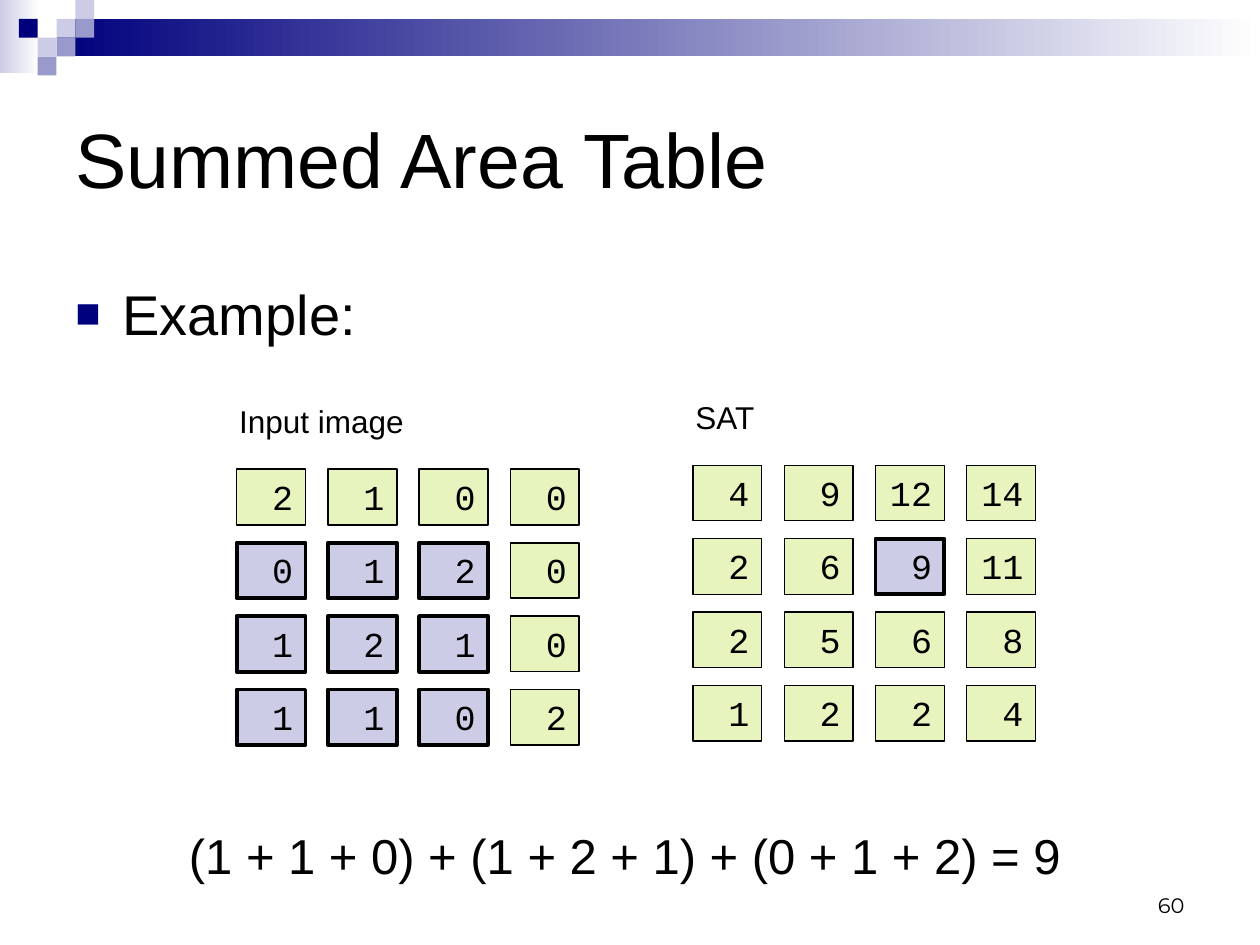
from dataclasses import dataclass
from lxml import etree
from pptx import Presentation
from pptx.dml.color import RGBColor
from pptx.enum.shapes import MSO_SHAPE
from pptx.enum.text import MSO_ANCHOR, PP_ALIGN
from pptx.oxml.ns import qn
from pptx.util import Cm, Pt

RECT = MSO_SHAPE.RECTANGLE
TOP, MIDDLE, BOTTOM = MSO_ANCHOR.TOP, MSO_ANCHOR.MIDDLE, MSO_ANCHOR.BOTTOM
LEFT, RIGHT = PP_ALIGN.LEFT, PP_ALIGN.RIGHT


@dataclass(frozen=True)
class Theme:
    ink: str = "000000"
    navy: str = "00007D"
    mid: str = "9999CC"
    pale: str = "CCCCE6"
    lime: str = "E7F4BE"
    white: str = "FFFFFF"
    sans: str = "Arial"
    mono: str = "Courier New"
    page: str = "Montserrat"
    title: int = 44
    body: int = 32
    sum: int = 28
    cell: int = 20
    label: int = 18
    small: int = 12


THEME = Theme()
STEP = 0.38
SQUARES = [
    (3, 1, THEME.pale), (4, 0, THEME.pale), (4, 1, THEME.mid),
    (2, 2, THEME.pale), (1, 1, THEME.navy), (3, 2, THEME.mid),
    (2, 3, THEME.mid),
]
INPUT = [[2, 1, 0, 0], [0, 1, 2, 0], [1, 2, 1, 0], [1, 1, 0, 2]]
SAT = [[4, 9, 12, 14], [2, 6, 9, 11], [2, 5, 6, 8], [1, 2, 2, 4]]
SUMMED = {(row, col) for row in (1, 2, 3) for col in (0, 1, 2)}


def color(code):
    return RGBColor.from_string(code)


def write(frame, text, size, font=THEME.sans, align=LEFT, anchor=TOP):
    frame.word_wrap = True
    frame.vertical_anchor = anchor
    para = frame.paragraphs[0]
    para.alignment = align
    run = para.add_run()
    run.text = text
    run.font.size = Pt(size)
    run.font.name = font
    run.font.color.rgb = color(THEME.ink)
    return para


def add_text(slide, box, text, size, **style):
    shape = slide.shapes.add_textbox(*map(Cm, box))
    return write(shape.text_frame, text, size, **style)


def add_rect(slide, box, fill, line=None):
    shape = slide.shapes.add_shape(RECT, *map(Cm, box))
    shape.shadow.inherit = False
    shape.fill.solid()
    shape.fill.fore_color.rgb = color(fill)
    if line:
        shape.line.color.rgb = color(THEME.ink)
        shape.line.width = Pt(line)
    else:
        shape.line.fill.background()
    return shape


def add_fade(slide, box, start):
    fill = add_rect(slide, box, start).fill
    fill.gradient()
    fill.gradient_angle = 0
    for stop, code in zip(fill.gradient_stops, (start, THEME.white)):
        stop.color.rgb = color(code)


def add_bullet(para):
    props = para._p.get_or_add_pPr()
    props.set("marL", str(Cm(0.95)))
    props.set("indent", str(-Cm(0.95)))
    tint = etree.SubElement(props, qn("a:buClr"))
    etree.SubElement(tint, qn("a:srgbClr"), val=THEME.navy)
    etree.SubElement(props, qn("a:buSzPct"), val="75000")
    etree.SubElement(props, qn("a:buFont"), typeface=THEME.sans)
    etree.SubElement(props, qn("a:buChar"), char="■")


def add_grid(slide, left, top, label, values, marked, line):
    add_text(slide, (left - 0.2, top - 1.48, 4.2, 1.02), label, THEME.label)
    for row, numbers in enumerate(values):
        for col, number in enumerate(numbers):
            mark = (row, col) in marked
            box = (left + col * 1.84, top + row * 1.48, 1.39, 1.12)
            cell = add_rect(slide, box, THEME.pale if mark else THEME.lime,
                            2.25 if mark else line)
            write(cell.text_frame, str(number), THEME.cell,
                  font=THEME.mono, align=RIGHT)


def add_header(slide):
    add_fade(slide, (0, 0, 0.79, 1.47), THEME.pale)
    add_fade(slide, (3 * STEP, STEP, 25.4 - 3 * STEP, 2 * STEP), THEME.navy)
    for col, row, fill in SQUARES:
        add_rect(slide, (col * STEP, row * STEP, STEP, STEP), fill)


def main():
    deck = Presentation()
    deck.slide_width, deck.slide_height = Cm(25.4), Cm(19.05)
    slide = deck.slides.add_slide(deck.slide_layouts[6])
    add_header(slide)
    add_text(slide, (1.27, 1.27, 22.86, 3.81), "Summed Area Table",
             THEME.title, anchor=MIDDLE)
    add_grid(slide, 4.77, 9.46, "Input image", INPUT, SUMMED, 1)
    add_grid(slide, 13.97, 9.38, "SAT", SAT, {(1, 2)}, 0.75)
    add_text(slide, (3.56, 16.51, 18.6, 1.45),
             "(1 + 1 + 0) + (1 + 2 + 1) + (0 + 1 + 2) = 9", THEME.sum)
    point = add_text(slide, (1.27, 5.51, 6.7, 1.42), "Example:", THEME.body)
    point.space_before = Pt(4)
    add_bullet(point)
    add_text(slide, (18.21, 17.35, 5.92, 1.27), "60", THEME.small,
             font=THEME.page, align=RIGHT, anchor=BOTTOM)
    deck.save("out.pptx")


main()
